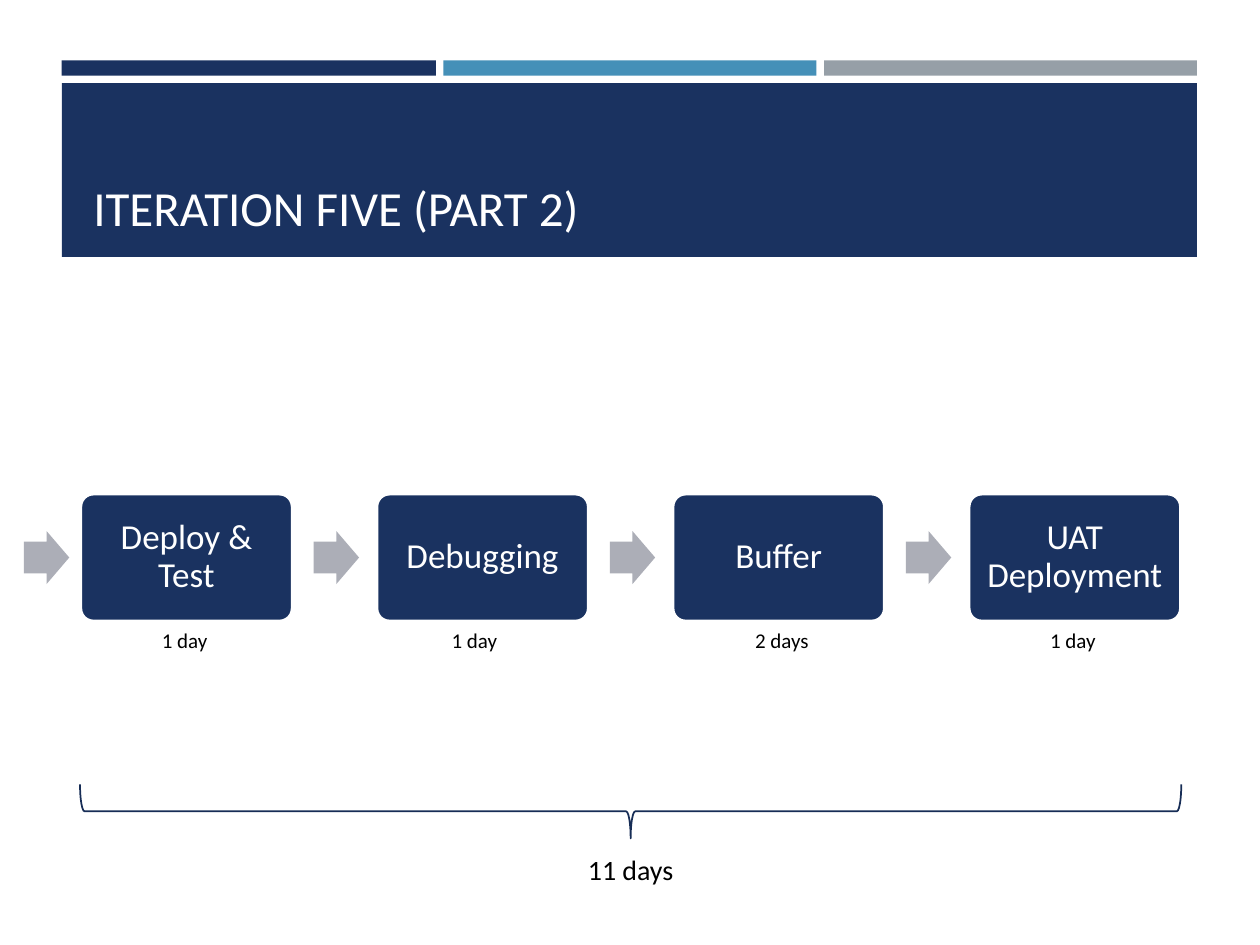
from pptx import Presentation
from pptx.dml.color import RGBColor
from pptx.enum.shapes import MSO_SHAPE
from pptx.enum.text import MSO_ANCHOR, MSO_AUTO_SIZE, PP_ALIGN
from pptx.util import Inches, Pt

NAVY = RGBColor(0x1A, 0x32, 0x60)
BLUE = RGBColor(0x45, 0x90, 0xB8)
GRAY = RGBColor(0x96, 0x9F, 0xA7)
ARROW_GRAY = RGBColor(0xAC, 0xAE, 0xB7)
BRACE_NAVY = RGBColor(0x17, 0x2D, 0x56)
WHITE = RGBColor(0xFF, 0xFF, 0xFF)
BLACK = RGBColor(0, 0, 0)
FONT = "Calibri"

# Content
TITLE = "ITERATION FIVE (PART 2)"
TOTAL = "11 days"
STEPS = [  # name, duration, left of the duration label
    ("Deploy & Test", "1 day", 0.93),
    ("Debugging", "1 day", 3.23),
    ("Buffer", "2 days", 5.67),
    ("UAT Deployment", "1 day", 7.98),
]
BANDS = [  # left, top, width, height, colour
    (0.49, 0.48, 2.97, 0.12, NAVY),
    (3.52, 0.48, 2.96, 0.12, BLUE),
    (6.54, 0.48, 2.96, 0.12, GRAY),
    (0.49, 0.66, 9.01, 1.38, NAVY),
]

# Flow layout, in inches
STEP_LEFT, STEP_TOP, STEP_WIDTH, STEP_HEIGHT = 0.64, 3.92, 1.68, 1.01
STEP_PITCH = 2.35
ARROW_WIDTH, ARROW_HEIGHT, ARROW_GAP = 0.36, 0.42, 0.17
ENTRY_ARROW_LEFT = 0.19


def add_shape(slide, kind, left, top, width, height, fill=None):
    shape = slide.shapes.add_shape(
        kind, Inches(left), Inches(top), Inches(width), Inches(height))
    shape.shadow.inherit = False
    if fill is None:
        shape.fill.background()
    else:
        shape.fill.solid()
        shape.fill.fore_color.rgb = fill
    shape.line.fill.background()
    return shape


def write(paragraph, text, size, color, alignment=PP_ALIGN.CENTER):
    paragraph.alignment = alignment
    run = paragraph.add_run()
    run.text = text
    run.font.name = FONT
    run.font.size = Pt(size)
    run.font.color.rgb = color


def add_label(slide, text, left, top, height, size):
    box = slide.shapes.add_textbox(
        Inches(left), Inches(top), Inches(1.07), Inches(height))
    box.text_frame.word_wrap = True
    write(box.text_frame.paragraphs[0], text, size, BLACK)


def add_arrow(slide, left):
    top = STEP_TOP + (STEP_HEIGHT - ARROW_HEIGHT) / 2
    arrow = add_shape(slide, MSO_SHAPE.RIGHT_ARROW, left, top,
                      ARROW_WIDTH, ARROW_HEIGHT, ARROW_GRAY)
    arrow.adjustments[0] = 0.6
    arrow.adjustments[1] = 0.5


def add_step(slide, name, left):
    step = add_shape(slide, MSO_SHAPE.ROUNDED_RECTANGLE, left, STEP_TOP,
                     STEP_WIDTH, STEP_HEIGHT, NAVY)
    step.adjustments[0] = 0.1
    step.line.color.rgb = WHITE
    step.line.width = Pt(1.75)
    frame = step.text_frame
    frame.word_wrap = True
    frame.vertical_anchor = MSO_ANCHOR.MIDDLE
    frame.margin_left = frame.margin_right = Inches(0.08)
    frame.margin_top = frame.margin_bottom = Inches(0.08)
    frame.paragraphs[0].line_spacing = 0.9
    write(frame.paragraphs[0], name, 20, WHITE)


def main():
    presentation = Presentation()
    presentation.slide_width = Inches(10)
    presentation.slide_height = Inches(7.5)
    slide = presentation.slides.add_slide(presentation.slide_layouts[5])

    # Header bands, then the title brought in front of them
    for left, top, width, height, color in BANDS:
        add_shape(slide, MSO_SHAPE.RECTANGLE, left, top, width, height, color)
    title = slide.shapes.title
    slide.shapes.element.append(title.element)
    title.left, title.top = Inches(0.64), Inches(0.75)
    title.width, title.height = Inches(8.74), Inches(1.18)
    title.text_frame.auto_size = MSO_AUTO_SIZE.NONE
    title.text_frame.vertical_anchor = MSO_ANCHOR.BOTTOM
    write(title.text_frame.paragraphs[0], TITLE, 28, WHITE, PP_ALIGN.LEFT)

    # Steps with the arrow leading into each and its duration below
    for index, (name, duration, label_left) in enumerate(STEPS):
        left = STEP_LEFT + index * STEP_PITCH
        previous_right = left - STEP_PITCH + STEP_WIDTH
        add_arrow(slide, previous_right + ARROW_GAP if index
                  else ENTRY_ARROW_LEFT)
        add_step(slide, name, left)
        add_label(slide, duration, label_left, STEP_TOP + STEP_HEIGHT, 0.3, 12)

    # Brace across all steps with the total
    brace = add_shape(slide, MSO_SHAPE.RIGHT_BRACE, 4.79, 2.07, 0.43, 8.74)
    brace.rotation = 90
    brace.line.color.rgb = BRACE_NAVY
    brace.line.width = Pt(1)
    add_label(slide, TOTAL, 4.47, 6.72, 0.37, 16)

    presentation.save("out.pptx")


if __name__ == "__main__":
    main()
